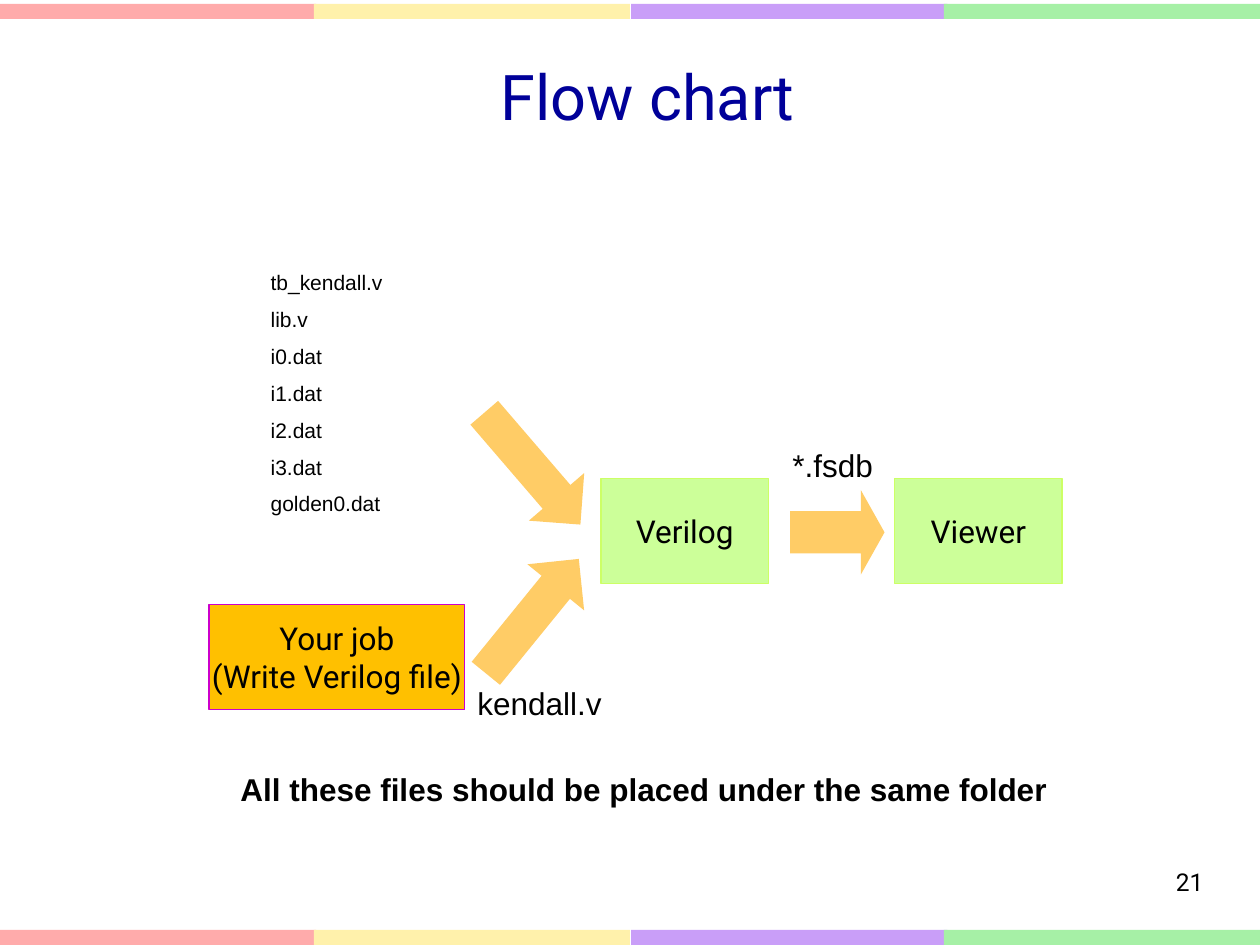
"""Build the simulation flow chart slide."""
from pptx import Presentation
from pptx.dml.color import RGBColor
from pptx.enum.shapes import MSO_SHAPE as Shape
from pptx.enum.text import MSO_ANCHOR as Anchor, PP_ALIGN as Align
from pptx.util import Inches, Pt

COLORS = {
    "title": "000099", "text": "000000", "arrow": "FFCC66",
    "tool": "CCFF99", "tool_line": "CCFF66",
    "job": "FFC000", "job_line": "CC00CC",
}
BANDS = ["FFABAB", "FFF1AB", "C99EF8", "A6F0A6"]


def add_figure(kind, bounds, fill, line=None):
    figure = page.shapes.add_shape(kind, *map(Inches, bounds))
    figure.shadow.inherit = False
    figure.fill.solid()
    figure.fill.fore_color.rgb = RGBColor.from_string(fill)
    if line:
        figure.line.color.rgb = RGBColor.from_string(line)
        figure.line.width = Pt(0.75)
    else:
        figure.line.fill.background()
    return figure


def write(shape, lines, font, size, align, anchor, wrap=True, color="text", bold=False):
    frame = shape.text_frame
    frame.text = "\n".join(lines)
    frame.word_wrap = wrap
    frame.vertical_anchor = anchor
    for para in frame.paragraphs:
        para.alignment = align
        para.font.name = font
        para.font.size = Pt(size)
        para.font.bold = bold
        para.font.color.rgb = RGBColor.from_string(COLORS[color])
    for para in frame.paragraphs[1:]:
        para.space_before = Pt(6.7 if anchor == Anchor.TOP else 0)


deck = Presentation()
deck.slide_width, deck.slide_height = Inches(10), Inches(7.5)
page = deck.slides.add_slide(deck.slide_layouts[6])

for top in (0.03, 7.38):
    for left, fill in zip((0, 2.49, 5.01, 7.49), BANDS):
        add_figure(Shape.RECTANGLE, (left, top, 2.51, 0.12), fill)

title = page.shapes.add_textbox(Inches(1.29), Inches(0.13), Inches(7.7), Inches(1.25))
write(title, ["Flow chart"], "Roboto", 36, Align.CENTER, Anchor.MIDDLE, color="title")

number = page.shapes.add_textbox(Inches(7.17), Inches(6.83), Inches(2.48), Inches(0.52))
write(number, ["21"], "Roboto", 14, Align.RIGHT, Anchor.TOP)

for lines, bounds, style in [
    (["Verilog"], (4.77, 3.8, 1.33, 0.83), "tool"),
    (["Your job", "(Write Verilog file)"], (1.66, 4.8, 2.03, 0.83), "job"),
    (["Viewer"], (7.1, 3.8, 1.33, 0.83), "tool"),
]:
    step = add_figure(Shape.RECTANGLE, bounds, COLORS[style], COLORS[style + "_line"])
    write(step, lines, "Roboto", 18, Align.CENTER, Anchor.MIDDLE, wrap=False)

for kind, bounds, rotation, head in [
    (Shape.RIGHT_ARROW, (3.64, 3.43, 1.17, 0.58), 49.3, 0.5),
    (Shape.RIGHT_ARROW, (3.64, 4.6, 1.17, 0.58), 309.1, 0.5),
    (Shape.DOWN_ARROW, (6.31, 3.85, 0.67, 0.75), 270, 0.28),
]:
    arrow = add_figure(kind, bounds, COLORS["arrow"])
    arrow.rotation = rotation
    arrow.adjustments[0] = 0.5
    arrow.adjustments[1] = head

input_files = ["tb_kendall.v", "lib.v", *[f"i{index}.dat" for index in range(4)], "golden0.dat"]
for lines, bounds, size, wrap, bold in [
    (input_files, (2.05, 2.09, 1.8, 2.57), 12, True, False),
    (["kendall.v"], (3.69, 5.38, 2.27, 0.4), 18, True, False),
    (["*.fsdb"], (6.19, 3.49, 0.88, 0.4), 18, True, False),
    (["All these files should be placed under the same folder"],
     (1.81, 6.06, 6.67, 0.4), 18, False, True),
]:
    box = page.shapes.add_textbox(*map(Inches, bounds))
    write(box, lines, "Arial", size, Align.LEFT, Anchor.TOP, wrap=wrap, bold=bold)

deck.save("out.pptx")
